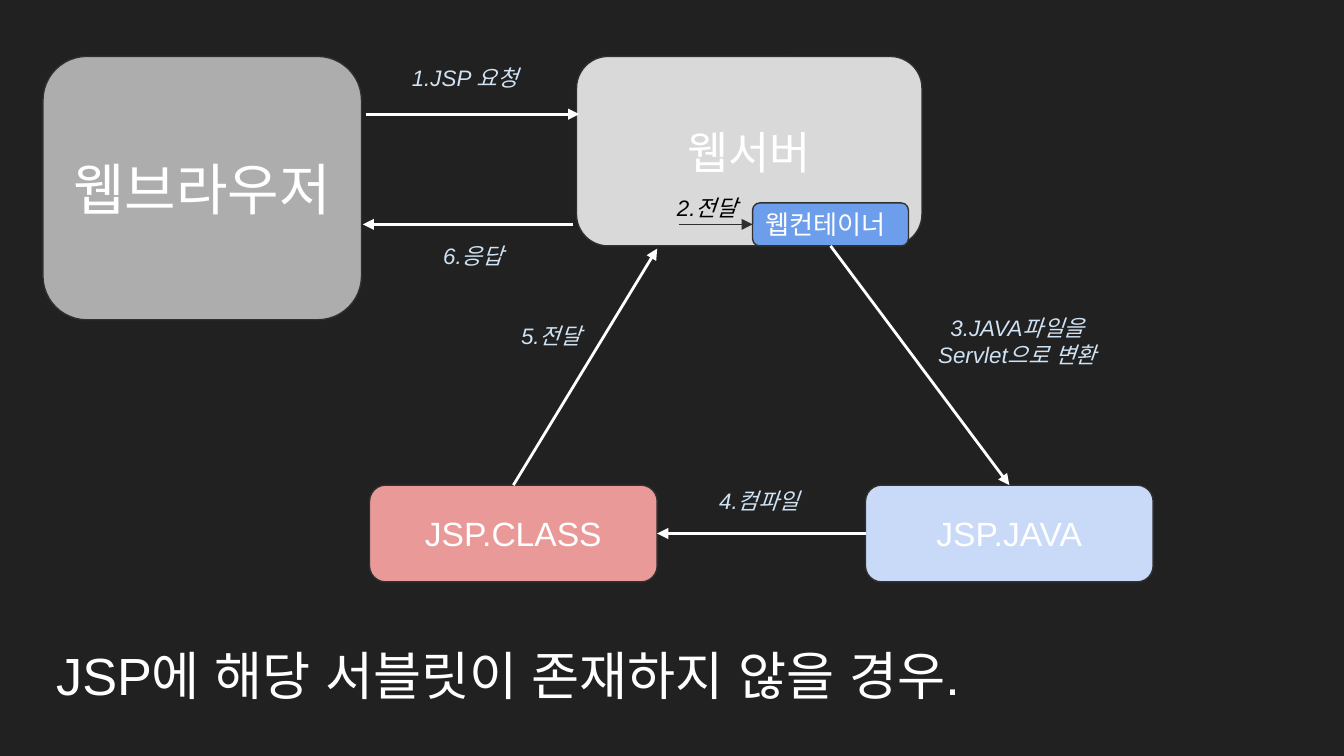
from lxml import etree
from pptx import Presentation, util as u
from pptx.dml.color import RGBColor
from pptx.enum import lang, shapes, text
from pptx.oxml.ns import qn

DARK = RGBColor(0x21, 0x21, 0x21)
EDGE = RGBColor(0x30, 0x30, 0x30)
WHITE = RGBColor(0xFF, 0xFF, 0xFF)
BLACK = RGBColor(0, 0, 0)
PALE = RGBColor(0xCF, 0xE2, 0xF3)
GRAY = RGBColor(0xAD, 0xAD, 0xAD)
LIGHT = RGBColor(0xD9, 0xD9, 0xD9)
BLUE = RGBColor(0x6D, 0x9E, 0xEB)
SKY = RGBColor(0xC9, 0xDA, 0xF8)
ROSE = RGBColor(0xEA, 0x99, 0x99)

WIDE = 10
HIGH = WIDE * 9 / 16
TOP, LOW = 0.42, 3.61        # the two rows of boxes
ASK, REPLY = 0.85, 1.67      # heights of the request and reply arrows
CARD = (2.14, 0.72)          # size of a file box
NOTE = (1.16, 0.23)          # size of a step label
UP, LEFT, DOWN, RIGHT = range(4)

# name: caption, left, top, size, fill, text size
BOXES = {
    "browser": ("웹브라우저", 0.32, TOP, (2.37, 1.96), GRAY, 30),
    "server": ("웹서버", 4.29, TOP, (2.57, 1.41), LIGHT, 24),
    "holder": ("웹컨테이너", 5.6, 1.51, (1.16, 0.32), BLUE, 14),
    "java": ("JSP.JAVA", 6.44, LOW, CARD, SKY, 18),
    "class": ("JSP.CLASS", 2.75, LOW, CARD, ROSE, 18),
}
# each end is a point or a (box, side) pair
ARROWS = [
    ((2.72, ASK), (4.31, ASK), WHITE, 1.5),
    ((4.26, REPLY), (2.7, REPLY), WHITE, 1.5),
    (("holder", DOWN), ("java", UP), WHITE, 1.5),
    (("java", LEFT), ("class", RIGHT), WHITE, 1.5),
    (("class", UP), (4.89, 1.85), WHITE, 1.5),
    ((5.05, REPLY), ("holder", LEFT), EDGE, 0.75),
]
STEPS = [
    ("1.JSP 요청", 2.88, 0.46, NOTE, PALE),
    ("2.전달", 4.68, 1.43, NOTE, BLACK),
    ("3.JAVA파일을\nServlet으로 변환", 6.5, 2.42, (CARD[0], NOTE[1]), PALE),
    ("4.컴파일", 5.07, LOW, NOTE, PALE),
    ("5.전달", 3.52, 2.38, NOTE, PALE),
    ("6.응답", 2.94, 1.79, NOTE, PALE),
]
TITLE = "JSP에 해당 서블릿이 존재하지 않을 경우."

deck = Presentation()
deck.slide_width, deck.slide_height = u.Inches(WIDE), u.Inches(HIGH)
slide = deck.slides.add_slide(deck.slide_layouts[6])
slide.background.fill.solid()
slide.background.fill.fore_color.rgb = DARK


def write(shape, words, size=12, color=WHITE, italic=False, inset=0.1,
          align=text.PP_ALIGN.CENTER, anchor=text.MSO_ANCHOR.MIDDLE):
    frame = shape.text_frame
    frame.word_wrap = True
    frame.vertical_anchor = anchor
    frame.margin_left = frame.margin_right = u.Inches(inset)
    frame.margin_top = frame.margin_bottom = u.Inches(inset)
    frame.text = words
    for para in frame.paragraphs:
        para.alignment = align
        font = para.runs[0].font
        font.name, font.size, font.italic = "Arial", u.Pt(size), italic
        font.color.rgb = color
        font.language_id = lang.MSO_LANGUAGE_ID.KOREAN


def place(left, top, size):
    return [u.Inches(n) for n in (left, top, *size)]


# Boxes
nodes = {}
for name, (words, left, top, size, fill, points) in BOXES.items():
    box = slide.shapes.add_shape(
        shapes.MSO_SHAPE.ROUNDED_RECTANGLE, *place(left, top, size))
    box.shadow.inherit = False
    box.fill.solid()
    box.fill.fore_color.rgb = fill
    box.line.color.rgb, box.line.width = EDGE, u.Pt(0.75)
    side = text.PP_ALIGN.LEFT if name == "holder" else text.PP_ALIGN.CENTER
    write(box, words, size=points, inset=0.08, align=side)
    nodes[name] = box

# Arrows
for start, end, color, width in ARROWS:
    line = slide.shapes.add_connector(shapes.MSO_CONNECTOR.STRAIGHT, 0, 0, 0, 0)
    if start[0] in nodes:
        line.begin_connect(nodes[start[0]], start[1])
    else:
        line.begin_x, line.begin_y = map(u.Inches, start)
    if end[0] in nodes:
        line.end_connect(nodes[end[0]], end[1])
    else:
        line.end_x, line.end_y = map(u.Inches, end)
    line.line.color.rgb, line.line.width = color, u.Pt(width)
    etree.SubElement(line.line._get_or_add_ln(), qn("a:tailEnd"), type="triangle")
    etree.SubElement(line._element.spPr, qn("a:effectLst"))

# Step labels
for words, left, top, size, color in STEPS:
    label = slide.shapes.add_textbox(*place(left, top, size))
    write(label, words, color=color, italic=True)

# Title
title = slide.shapes.add_textbox(*place(0.32, 4.69, (9.32, 0.63)))
write(title, TITLE, size=28, align=text.PP_ALIGN.LEFT, anchor=text.MSO_ANCHOR.TOP)

deck.save("out.pptx")
